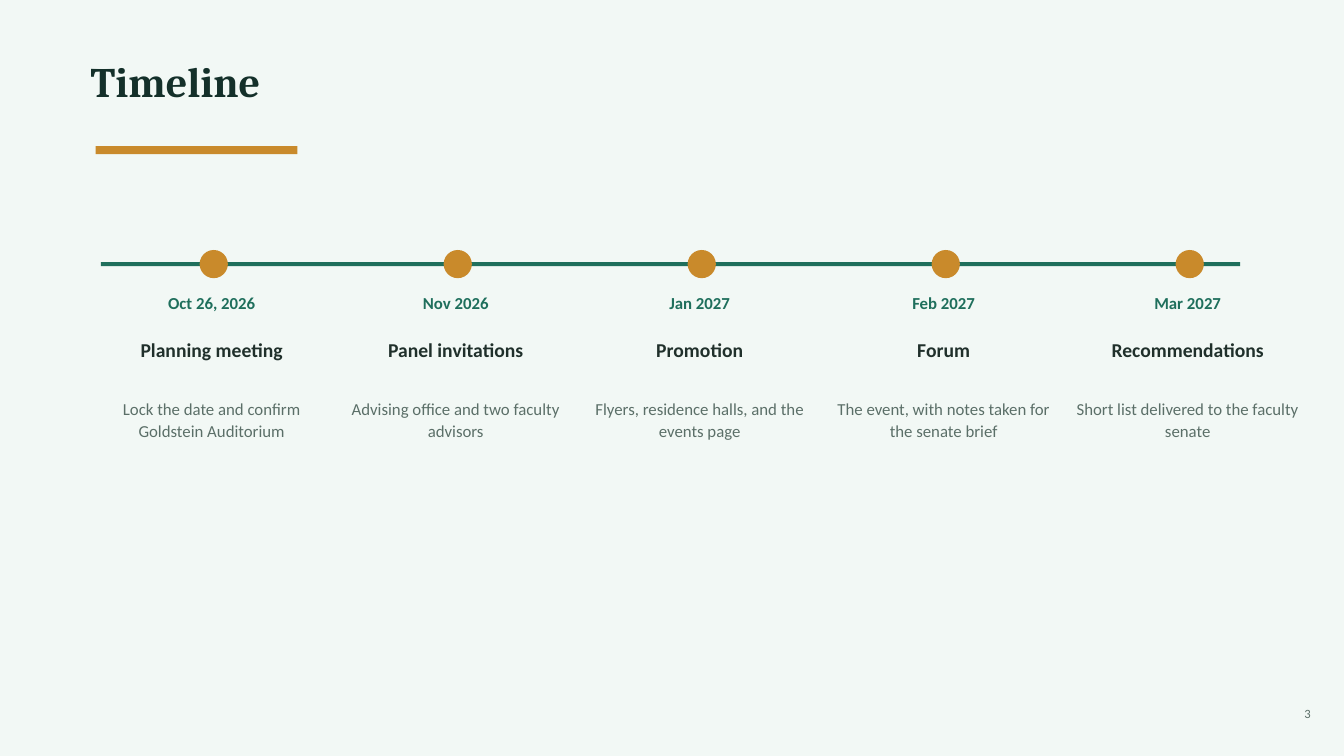
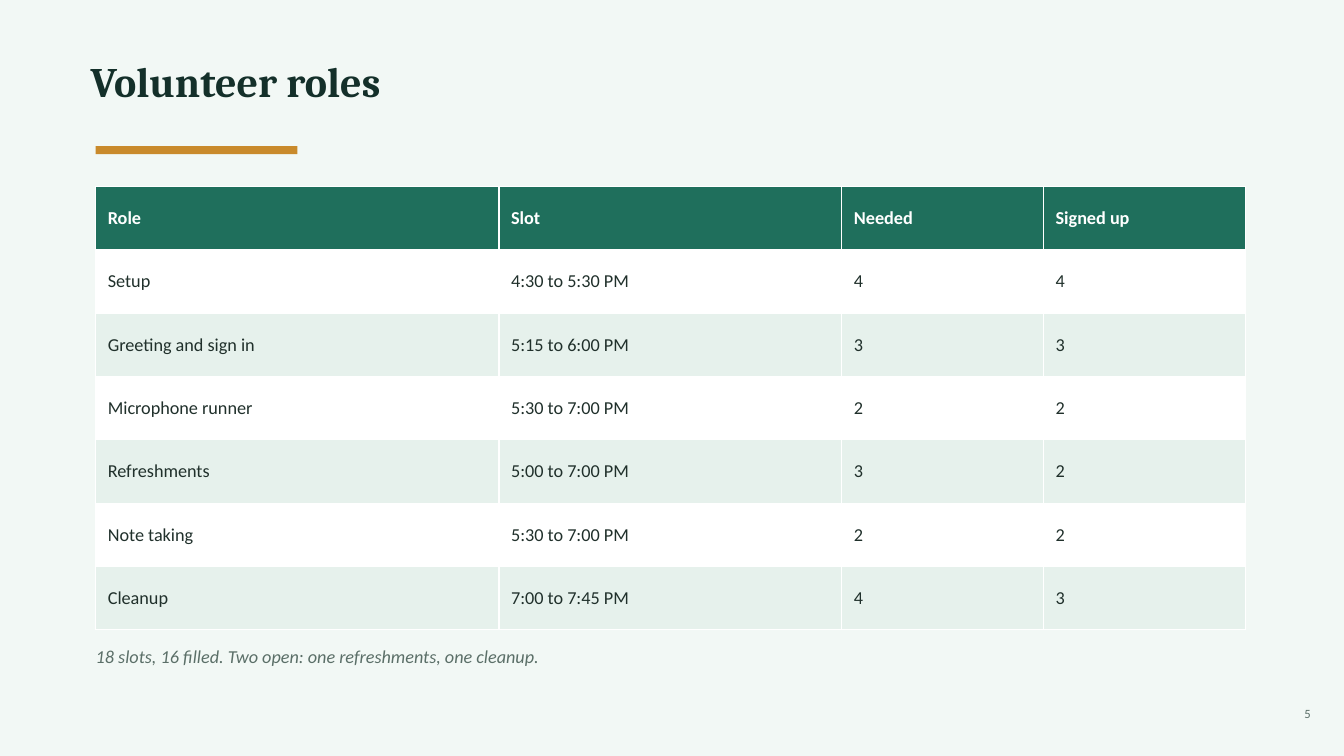
"""Build the timeline and volunteer roles slides of the forum plan."""
from dataclasses import dataclass
from typing import NamedTuple

from pptx import Presentation
from pptx import util as u
from pptx.dml.color import RGBColor
from pptx.enum import shapes, text
from pptx.slide import Slide
from pptx.text.text import Font, TextFrame

COLORS = {
    "page": "F2F8F5",
    "title": "14302A",
    "green": "1F6F5C",
    "gold": "C98A2B",
    "ink": "20302B",
    "muted": "5B6F68",
    "white": "FFFFFF",
    "band": "E6F1EC",
}
HEADING, BODY = "Cambria", "Calibri"
PAGE_WIDTH, PAGE_HEIGHT = 13.33, 7.5
MARGIN, CONTENT_WIDTH = 0.95, 11.4
STEP_PITCH, STEP_WIDTH = 2.42, 2.3
RAIL_TOP, RAIL_HEIGHT, DOT = 2.6, 0.04, 0.28
TABLE_TOP, TABLE_HEIGHT = 1.85, 4.4
LEFT, CENTER, RIGHT = text.PP_ALIGN.LEFT, text.PP_ALIGN.CENTER, text.PP_ALIGN.RIGHT
RECTANGLE, OVAL = shapes.MSO_SHAPE.RECTANGLE, shapes.MSO_SHAPE.OVAL


class Box(NamedTuple):
    left: float
    top: float
    width: float
    height: float

    def emu(self) -> list[u.Length]:
        return [u.Inches(length) for length in self]


@dataclass(frozen=True)
class Style:
    size: float
    color: str
    face: str = BODY
    bold: bool = False
    italic: bool = False
    align: text.PP_ALIGN = LEFT
    spacing: float | None = None


@dataclass(frozen=True)
class Step:
    date: str
    name: str
    detail: str


class Role(NamedTuple):
    name: str
    slot: str
    needed: str
    signed_up: str


TITLE = Style(30, "title", HEADING, bold=True)
STEP_DATE = Style(12, "green", bold=True, align=CENTER)
STEP_NAME = Style(14, "ink", bold=True, align=CENTER)
STEP_DETAIL = Style(12, "muted", align=CENTER, spacing=1.05)
TABLE_HEAD = Style(13, "white", bold=True)
TABLE_BODY = Style(13, "ink")
SUMMARY = Style(13, "muted", italic=True)
PAGE_NUMBER = Style(9, "muted", align=RIGHT)

STEPS = [
    Step("Oct 26, 2026", "Planning meeting", "Lock the date and confirm Goldstein Auditorium"),
    Step("Nov 2026", "Panel invitations", "Advising office and two faculty advisors"),
    Step("Jan 2027", "Promotion", "Flyers, residence halls, and the events page"),
    Step("Feb 2027", "Forum", "The event, with notes taken for the senate brief"),
    Step("Mar 2027", "Recommendations", "Short list delivered to the faculty senate"),
]
ROLE_COLUMNS = [4, 3.4, 2, 2]
ROLES = [
    Role("Role", "Slot", "Needed", "Signed up"),
    Role("Setup", "4:30 to 5:30 PM", "4", "4"),
    Role("Greeting and sign in", "5:15 to 6:00 PM", "3", "3"),
    Role("Microphone runner", "5:30 to 7:00 PM", "2", "2"),
    Role("Refreshments", "5:00 to 7:00 PM", "3", "2"),
    Role("Note taking", "5:30 to 7:00 PM", "2", "2"),
    Role("Cleanup", "7:00 to 7:45 PM", "4", "3"),
]


def rgb(name: str) -> RGBColor:
    return RGBColor.from_string(COLORS[name])


def style_font(font: Font, style: Style) -> None:
    font.name, font.size = style.face, u.Pt(style.size)
    font.bold, font.italic = style.bold, style.italic
    font.color.rgb = rgb(style.color)


def write(frame: TextFrame, words: str, style: Style) -> None:
    frame.text = words
    frame.word_wrap = True
    frame.auto_size = text.MSO_AUTO_SIZE.SHAPE_TO_FIT_TEXT
    frame.vertical_anchor = text.MSO_ANCHOR.TOP
    frame.margin_left = frame.margin_top = frame.margin_right = frame.margin_bottom = 0
    paragraph = frame.paragraphs[0]
    paragraph.alignment = style.align
    paragraph.space_after = u.Pt(6)
    if style.spacing:
        paragraph.line_spacing = style.spacing
    style_font(paragraph.runs[0].font, style)


def add_words(slide: Slide, box: Box, words: str, style: Style) -> None:
    write(slide.shapes.add_textbox(*box.emu()).text_frame, words, style)


def add_mark(slide: Slide, preset: shapes.MSO_SHAPE, box: Box, color: str) -> None:
    mark = slide.shapes.add_shape(preset, *box.emu())
    mark.shadow.inherit = False
    mark.fill.solid()
    mark.fill.fore_color.rgb = rgb(color)
    mark.line.fill.background()


def add_page(deck: Presentation, heading: str, number: int) -> Slide:
    slide = deck.slides.add_slide(deck.slide_layouts.get_by_name("Title Only"))
    title = slide.shapes.title
    title.left, title.top, title.width, title.height = Box(0.9, 0.55, 11.5, 1).emu()
    write(title.text_frame, heading, TITLE)
    add_mark(slide, RECTANGLE, Box(MARGIN, 1.45, 2, 0.08), "gold")
    add_words(slide, Box(12.4, 7, 0.6, 0.4), str(number), PAGE_NUMBER)
    return slide


def add_step(slide: Slide, column: int, step: Step) -> None:
    left = MARGIN + column * STEP_PITCH
    dot_left = left + 1.03
    dot_top = RAIL_TOP + (RAIL_HEIGHT - DOT) / 2
    add_mark(slide, OVAL, Box(dot_left, dot_top, DOT, DOT), "gold")
    add_words(slide, Box(left, 2.9, STEP_WIDTH, 0.5), step.date, STEP_DATE)
    add_words(slide, Box(left, 3.35, STEP_WIDTH, 0.6), step.name, STEP_NAME)
    add_words(slide, Box(left, 3.95, STEP_WIDTH, 1.4), step.detail, STEP_DETAIL)


def add_timeline(deck: Presentation) -> None:
    slide = add_page(deck, "Timeline", 3)
    add_mark(slide, RECTANGLE, Box(1, RAIL_TOP, 11.3, RAIL_HEIGHT), "green")
    for column, step in enumerate(STEPS):
        add_step(slide, column, step)


def add_roles(deck: Presentation) -> None:
    slide = add_page(deck, "Volunteer roles", 5)
    area = Box(MARGIN, TABLE_TOP, CONTENT_WIDTH, TABLE_HEIGHT)
    roster = slide.shapes.add_table(len(ROLES), len(ROLE_COLUMNS), *area.emu()).table
    for column, width in zip(roster.columns, ROLE_COLUMNS):
        column.width = u.Inches(width)
    for row, role in enumerate(ROLES):
        style = TABLE_BODY if row else TABLE_HEAD
        fill = ("white" if row % 2 else "band") if row else "green"
        for cell, words in zip(roster.rows[row].cells, role):
            cell.text = words
            cell.vertical_anchor = text.MSO_ANCHOR.MIDDLE
            cell.margin_left, cell.margin_right = u.Inches(0.12), u.Inches(0.08)
            cell.margin_top = cell.margin_bottom = u.Inches(0.04)
            cell.fill.solid()
            cell.fill.fore_color.rgb = rgb(fill)
            style_font(cell.text_frame.paragraphs[0].runs[0].font, style)
    add_words(
        slide,
        Box(MARGIN, 6.4, CONTENT_WIDTH, 0.5),
        "18 slots, 16 filled. Two open: one refreshments, one cleanup.",
        SUMMARY,
    )


def main() -> None:
    deck = Presentation()
    deck.slide_width, deck.slide_height = u.Inches(PAGE_WIDTH), u.Inches(PAGE_HEIGHT)
    backdrop = deck.slide_master.background.fill
    backdrop.solid()
    backdrop.fore_color.rgb = rgb("page")
    add_timeline(deck)
    add_roles(deck)
    deck.save("out.pptx")


if __name__ == "__main__":
    main()
